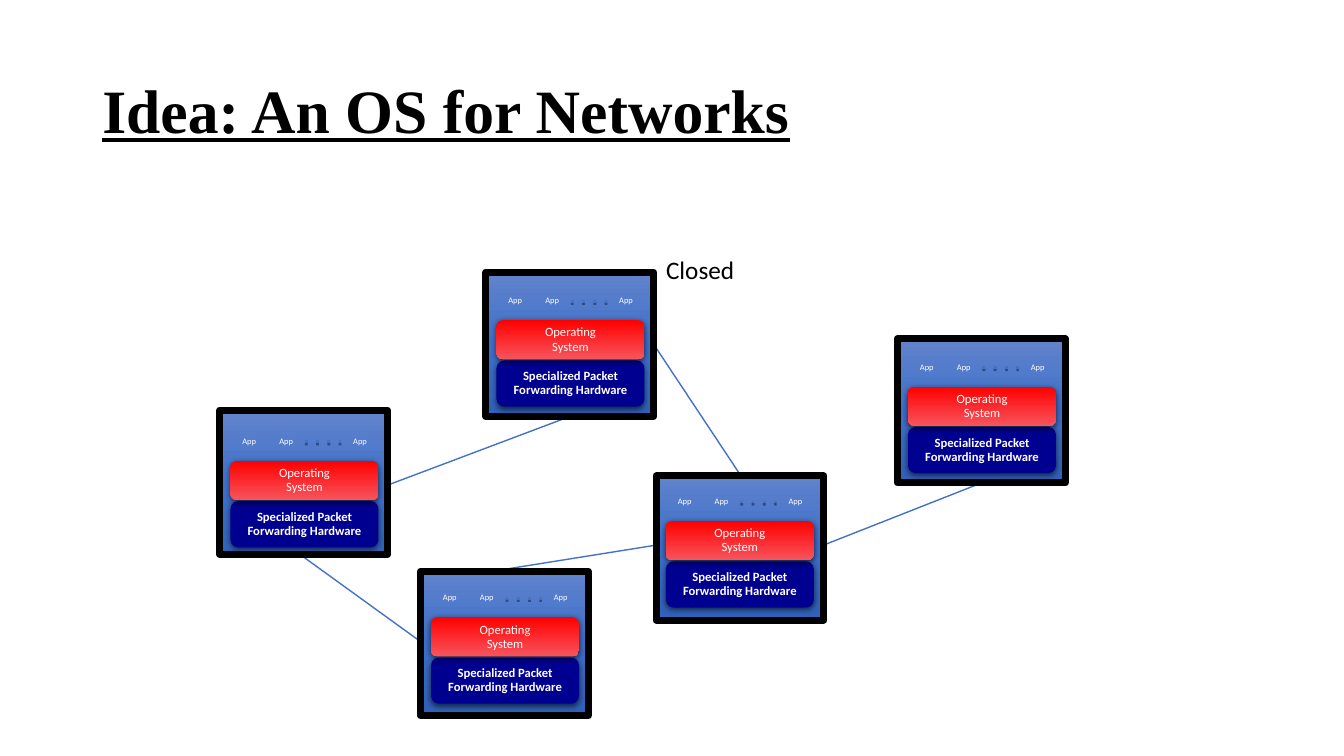
"""Build a slide that shows closed network devices joined by links."""
from dataclasses import dataclass

from lxml import etree
from pptx import Presentation
from pptx.dml.color import RGBColor
from pptx.enum.shapes import MSO_CONNECTOR, MSO_SHAPE
from pptx.enum.text import MSO_ANCHOR, PP_ALIGN
from pptx.oxml.ns import qn
from pptx.util import Pt

RECTANGLE, ROUNDED = MSO_SHAPE.RECTANGLE, MSO_SHAPE.ROUNDED_RECTANGLE
STRAIGHT = MSO_CONNECTOR.STRAIGHT
MIDDLE, TOP_ANCHOR = MSO_ANCHOR.MIDDLE, MSO_ANCHOR.TOP
CENTER, LEFT_ALIGN = PP_ALIGN.CENTER, PP_ALIGN.LEFT
TOP, LEFT, BOTTOM, RIGHT = range(4)

TITLE = "Idea: An OS for Networks"
CLOSED = "Closed"
APP = "App"
SYSTEM = ["Operating", "System"]
HARDWARE = ["Specialized Packet Forwarding Hardware"]

# name: (left, top, frame shift right, frame shift down)
DEVICES = {
    "west": (157, 295, 0, -2),
    "north": (347, 194.5, 0, 0),
    "east": (641, 242, 0, 0),
    "south": (300.3, 406.7, 0, 1.5),
    "centre": (468, 338, 0.6, 2),
}
LINKS = [
    ("west", RIGHT, "north", BOTTOM),
    ("north", RIGHT, "centre", TOP),
    ("south", TOP, "centre", LEFT),
    ("west", BOTTOM, "south", LEFT),
    ("centre", RIGHT, "east", BOTTOM),
]
DEVICE_SIZE = (120, 103)
BLOCK_LEFT, BLOCK_WIDTH = 7.6, 105.7
SYSTEM_TOP, SYSTEM_HEIGHT = 34.2, 28
HARDWARE_TOP, HARDWARE_HEIGHT = 63, 33
APP_LEFT, APP_TOP, APP_PITCH, APP_SIZE = 9, 8.3, 26.4, (24, 24.5)
APP_SLOTS = (0, 1, 3)
DOTS_LEFT, DOTS_TOP, DOTS_WIDTH = 60.8, 20.6, 26


@dataclass(frozen=True)
class Theme:
    """Colours, fonts and sizes."""
    black: str = "000000"
    white: str = "FFFFFF"
    blue: str = "4472C4"
    navy: str = "000090"
    panel: tuple = ((0, "6183CB"), (50, "3E70CA"), (100, "3062BB"))
    red: tuple = ((0, "FF0000"), (100, "F7545C"))
    title_font: str = "Times New Roman"
    body_font: str = "Calibri"
    title_size: float = 44
    closed_size: float = 18
    block_size: float = 9
    app_size: float = 6
    spacing: float = 0.93
    block_shadow: tuple = (63, 4.5, 1.5)
    dots_shadow: tuple = (38, 0, 1.6)


THEME = Theme()


def points(*lengths):
    return [Pt(length) for length in lengths]


def set_effects(shape, shadow=None):
    effects = etree.SubElement(shape._element.spPr, qn("a:effectLst"))
    if shadow:
        alpha, blur, distance = shadow
        outer = etree.SubElement(effects, qn("a:outerShdw"), blurRad=str(Pt(blur)),
                                 dist=str(Pt(distance)), dir="5400000", rotWithShape="0")
        colour = etree.SubElement(outer, qn("a:srgbClr"), val=THEME.black)
        etree.SubElement(colour, qn("a:alpha"), val=str(alpha * 1000))


def set_fill(shape, fill):
    if fill is None:
        shape.fill.background()
    elif isinstance(fill, str):
        shape.fill.solid()
        shape.fill.fore_color.rgb = RGBColor.from_string(fill)
    else:
        shape.fill.gradient()
        shape.fill.gradient_angle = 270
        stops = shape._element.spPr.find(".//" + qn("a:gsLst"))
        stops.clear()
        for position, colour in fill:
            stop = etree.SubElement(stops, qn("a:gs"), pos=str(position * 1000))
            etree.SubElement(stop, qn("a:srgbClr"), val=colour)


def set_line(shape, colour, width):
    shape.line.color.rgb = RGBColor.from_string(colour)
    shape.line.width = Pt(width)


def add_block(page, kind, place, fill, line=None, shadow=None):
    block = page.shapes.add_shape(kind, *points(*place))
    set_fill(block, fill)
    if line:
        set_line(block, *line)
    else:
        block.line.fill.background()
    set_effects(block, shadow)
    return block


def write(box, lines, size, colour, align=CENTER, anchor=MIDDLE, font=THEME.body_font,
          spacing=THEME.spacing, wrap=True, bold=False, underline=False):
    frame = box.text_frame
    frame.word_wrap = wrap
    frame.vertical_anchor = anchor
    frame.text = "\n".join(lines)
    for para in frame.paragraphs:
        para.alignment = align
        para.line_spacing = spacing
        para.font.name, para.font.size = font, Pt(size)
        para.font.bold, para.font.underline = bold, underline
        para.font.color.rgb = RGBColor.from_string(colour)


def add_apps(page, left, top):
    group = page.shapes.add_group_shape()
    for slot in APP_SLOTS:
        box = group.shapes.add_textbox(
            *points(left + APP_LEFT + slot * APP_PITCH, top + APP_TOP, *APP_SIZE))
        frame = box.text_frame
        frame.margin_left = frame.margin_right = frame.margin_top = frame.margin_bottom = 0
        write(box, [APP], THEME.app_size, THEME.white)
    start, height = left + DOTS_LEFT, top + DOTS_TOP
    dots = group.shapes.add_connector(
        STRAIGHT, *points(start, height, start + DOTS_WIDTH, height))
    set_line(dots, THEME.blue, 2)
    etree.SubElement(dots._element.spPr.find(qn("a:ln")), qn("a:prstDash"), val="dot")
    set_effects(dots, THEME.dots_shadow)


def add_device(page, left, top):
    panel = add_block(page, RECTANGLE, (left, top, *DEVICE_SIZE), THEME.panel,
                      line=(THEME.blue, 0.5))
    for lines, offset, height, fill, bold in (
            (HARDWARE, HARDWARE_TOP, HARDWARE_HEIGHT, THEME.navy, True),
            (SYSTEM, SYSTEM_TOP, SYSTEM_HEIGHT, THEME.red, False)):
        place = (left + BLOCK_LEFT, top + offset, BLOCK_WIDTH, height)
        block = add_block(page, ROUNDED, place, fill, shadow=THEME.block_shadow)
        write(block, lines, THEME.block_size, THEME.white, bold=bold)
    add_apps(page, left, top)
    return panel


def main():
    deck = Presentation()
    deck.slide_width, deck.slide_height = points(960, 540)
    page = deck.slides.add_slide(deck.slide_layouts[6])

    title = page.shapes.add_textbox(*points(66, 28.75, 828, 104.4))
    write(title, [TITLE], THEME.title_size, THEME.black, LEFT_ALIGN,
          font=THEME.title_font, spacing=0.9, bold=True, underline=True)

    panels = {name: add_device(page, left, top)
              for name, (left, top, _, _) in DEVICES.items()}

    for start, start_side, end, end_side in LINKS:
        link = page.shapes.add_connector(STRAIGHT, 0, 0, 0, 0)
        link.begin_connect(panels[start], start_side)
        link.end_connect(panels[end], end_side)
        set_line(link, THEME.blue, 1)
        set_effects(link)

    for left, top, right_shift, down_shift in DEVICES.values():
        place = (left + right_shift, top + down_shift, *DEVICE_SIZE)
        add_block(page, RECTANGLE, place, None, line=(THEME.black, 5))

    closed = page.shapes.add_textbox(*points(468.7, 180, 64, 27.4))
    write(closed, [CLOSED], THEME.closed_size, THEME.black, LEFT_ALIGN, TOP_ANCHOR, wrap=False)

    deck.save("out.pptx")


if __name__ == "__main__":
    main()
